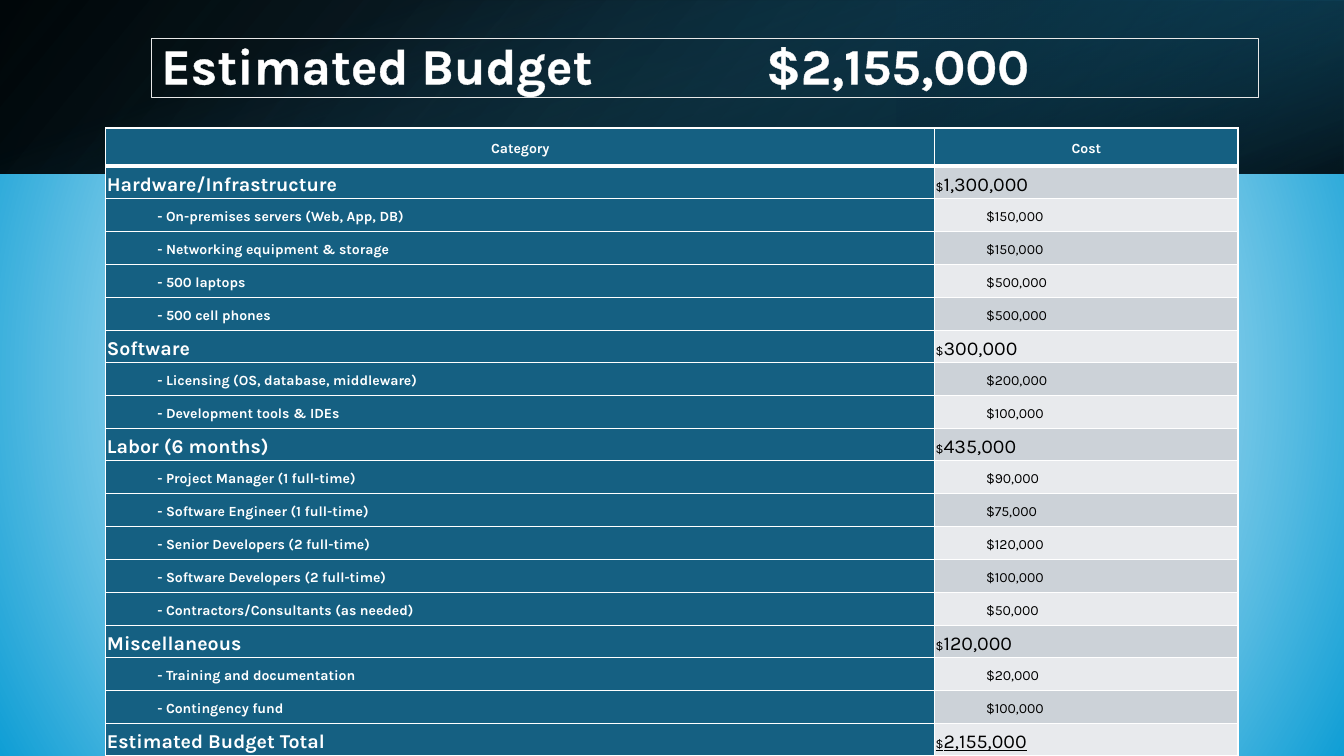
from dataclasses import dataclass

from lxml import etree
from pptx import Presentation
from pptx.dml.color import RGBColor
from pptx.enum.shapes import MSO_SHAPE
from pptx.enum.text import MSO_ANCHOR, PP_ALIGN
from pptx.oxml.ns import qn
from pptx.slide import Slide
from pptx.table import _Cell
from pptx.util import Inches, Pt

RECT = MSO_SHAPE.RECTANGLE
MIDDLE = MSO_ANCHOR.MIDDLE
CENTER = PP_ALIGN.CENTER
LEFT = PP_ALIGN.LEFT
FONT = "Karla"
TABLE_H, HEAD_H, GROUP_H = 6.23, 0.38, 0.32
COLORS = {
    "white": "FFFFFF", "black": "000000", "teal": "156082", "deep": "104862",
    "night": "0B3041", "sky": "0F9ED5", "frame": "E8E8E8",
    "dark band": "CCD2D8", "light band": "E8EAED",
}


@dataclass
class Stop:
    place: int
    color: str
    alpha: int = 100


@dataclass
class Panel:
    box: tuple[float, float, float, float]
    stops: list[Stop]
    angle: int
    turn: int = 0
    flip: bool = False


@dataclass
class Item:
    name: str
    cost: int


@dataclass
class Group:
    name: str
    cost: int
    items: list[Item]
    under: bool = False


PANELS = [
    Panel((0, 0, 13.33, 1.72), [Stop(0, "black", 96), Stop(100, "deep")], 140, flip=True),
    Panel((8.89, 0, 4.44, 1.72), [Stop(19, "night", 68), Stop(100, "teal", 79)], 320, 180, True),
    Panel((5.8, -5.8, 1.72, 13.33), [Stop(23, "teal", 0), Stop(99, "black", 74)], 340, 90),
]
GROUPS = [
    Group("Hardware/Infrastructure", 1300000, [
        Item("On-premises servers (Web, App, DB)", 150000),
        Item("Networking equipment & storage", 150000),
        Item("500 laptops", 500000),
        Item("500 cell phones", 500000)]),
    Group("Software", 300000, [
        Item("Licensing (OS, database, middleware)", 200000),
        Item("Development tools & IDEs", 100000)]),
    Group("Labor (6 months)", 435000, [
        Item("Project Manager (1 full-time)", 90000),
        Item("Software Engineer (1 full-time)", 75000),
        Item("Senior Developers (2 full-time)", 120000),
        Item("Software Developers (2 full-time)", 100000),
        Item("Contractors/Consultants (as needed)", 50000)]),
    Group("Miscellaneous", 120000, [
        Item("Training and documentation", 20000),
        Item("Contingency fund", 100000)]),
    Group("Estimated Budget Total", 2155000, [], under=True),
]


def paint(color: str) -> RGBColor:
    return RGBColor.from_string(COLORS[color])


def add_line(parent: etree._Element, tag: str, width: float, color: str) -> None:
    line = etree.SubElement(parent, qn(tag), w=str(Pt(width)))
    solid = etree.SubElement(line, qn("a:solidFill"))
    etree.SubElement(solid, qn("a:srgbClr"), val=COLORS[color])


def blend(parent: etree._Element, stops: list[Stop], angle: int | None = None) -> None:
    """Swap the solid fill of parent for a gradient, round when no angle is given."""
    grad = etree.Element(qn("a:gradFill"), rotWithShape="1")
    marks = etree.SubElement(grad, qn("a:gsLst"))
    for stop in stops:
        mark = etree.SubElement(marks, qn("a:gs"), pos=str(stop.place * 1000))
        tint = etree.SubElement(mark, qn("a:srgbClr"), val=COLORS[stop.color])
        if stop.alpha < 100:
            etree.SubElement(tint, qn("a:alpha"), val=str(stop.alpha * 1000))
    if angle is None:
        path = etree.SubElement(grad, qn("a:path"), path="circle")
        etree.SubElement(path, qn("a:fillToRect"), l="50000", t="50000", r="50000", b="50000")
    else:
        etree.SubElement(grad, qn("a:lin"), ang=str(angle * 60000), scaled="0")
    parent.replace(parent.find(qn("a:solidFill")), grad)


def draw_back(slide: Slide) -> None:
    slide.background.fill.solid()
    props = next(slide.element.iter(qn("p:bgPr")))
    blend(props, [Stop(0, "white"), Stop(35, "white"), Stop(100, "sky")])


def draw_panel(slide: Slide, panel: Panel) -> None:
    shape = slide.shapes.add_shape(RECT, *map(Inches, panel.box))
    shape.shadow.inherit = False
    shape.line.fill.background()
    shape.fill.solid()
    shape.rotation = panel.turn
    props = shape.element.spPr
    if panel.flip:
        props.find(qn("a:xfrm")).set("flipH", "1")
    blend(props, panel.stops, panel.angle)


def draw_title(slide: Slide) -> None:
    box = slide.shapes.add_textbox(Inches(1.5), Inches(0.38), Inches(10.98), Inches(0.59))
    box.line.color.rgb = paint("frame")
    box.line.width = Pt(0.75)
    frame = box.text_frame
    frame.word_wrap = True
    frame.vertical_anchor = MIDDLE
    para = frame.paragraphs[0]
    para.text = "Estimated Budget \t\t$2,155,000"
    para.line_spacing = 0.9
    tabs = etree.SubElement(para._p.get_or_add_pPr(), qn("a:tabLst"))
    for place in (5, 6):
        etree.SubElement(tabs, qn("a:tab"), pos=str(Inches(place)), algn="l")
    para.font.name = FONT
    para.font.size = Pt(36)
    para.font.bold = True
    para.font.color.rgb = paint("white")
    for run in para.runs:
        add_line(run._r.get_or_add_rPr(), "a:ln", 0.75, "frame")


def style_cell(cell: _Cell, fill: str, top: int = 1, bottom: int = 1) -> None:
    """Set borders (widths in points), fill and margins."""
    props = cell._tc.get_or_add_tcPr()
    for side, width in (("L", 1), ("R", 1), ("T", top), ("B", bottom)):
        add_line(props, f"a:ln{side}", width, "white")
    cell.fill.solid()
    cell.fill.fore_color.rgb = paint(fill)
    cell.vertical_anchor = MIDDLE
    cell.margin_left = cell.margin_right = Inches(0.01)
    cell.margin_top = cell.margin_bottom = Inches(0.01)


def write(cell: _Cell, parts: list[tuple[str, int]], label: bool, before: int = 0,
          after: int = 0, indent: float = 0, align: PP_ALIGN = LEFT, under: bool = False) -> None:
    """Fill a cell with (text, size) parts; labels are bold white, costs plain black."""
    para = cell.text_frame.paragraphs[0]
    para.alignment = align
    para.line_spacing = 1.25
    para.space_before = Pt(before)
    para.space_after = Pt(after)
    props = para._p.get_or_add_pPr()
    props.set("marL", str(Inches(indent)))
    props.set("indent", "0")
    para.font.name = FONT
    para.font.bold = label
    para.font.underline = under
    para.font.color.rgb = paint("white" if label else "black")
    for text, size in parts:
        run = para.add_run()
        run.text = text
        run.font.size = Pt(size)


def draw_table(slide: Slide) -> None:
    rows = [row for group in GROUPS for row in (group, *group.items)]
    count = len(rows) - len(GROUPS)
    item_h = (TABLE_H - HEAD_H - GROUP_H * len(GROUPS)) / count
    table = slide.shapes.add_table(
        len(rows) + 1, 2, Inches(1.05), Inches(1.27), Inches(11.23), Inches(TABLE_H)).table
    table.horz_banding = False
    for col, width in zip(table.columns, (8.22, 3.01)):
        col.width = Inches(width)
    table.rows[0].height = Inches(HEAD_H)
    for col, head in enumerate(("Category", "Cost")):
        cell = table.cell(0, col)
        style_cell(cell, "teal", bottom=3)
        write(cell, [(head, 10)], True, after=8, align=CENTER)
    for num, row in enumerate(rows, 1):
        name, cost = table.cell(num, 0), table.cell(num, 1)
        top = 3 if num == 1 else 1
        style_cell(name, "teal", top)
        style_cell(cost, "dark band" if num % 2 else "light band", top)
        if isinstance(row, Group):
            table.rows[num].height = Inches(GROUP_H)
            write(name, [(row.name, 14)], True, before=4)
            write(cost, [("$", 9), (f"{row.cost:,}", 14)], False, before=2, under=row.under)
        else:
            table.rows[num].height = Inches(item_h)
            write(name, [(f"- {row.name}", 10)], True, after=8, indent=0.5)
            write(cost, [(f"${row.cost:,}", 10)], False, after=8, indent=0.5)


def main() -> None:
    deck = Presentation()
    deck.slide_width, deck.slide_height = Inches(13.33), Inches(7.5)
    slide = deck.slides.add_slide(deck.slide_layouts[6])
    draw_back(slide)
    for panel in PANELS:
        draw_panel(slide, panel)
    draw_title(slide)
    draw_table(slide)
    deck.save("out.pptx")


if __name__ == "__main__":
    main()
